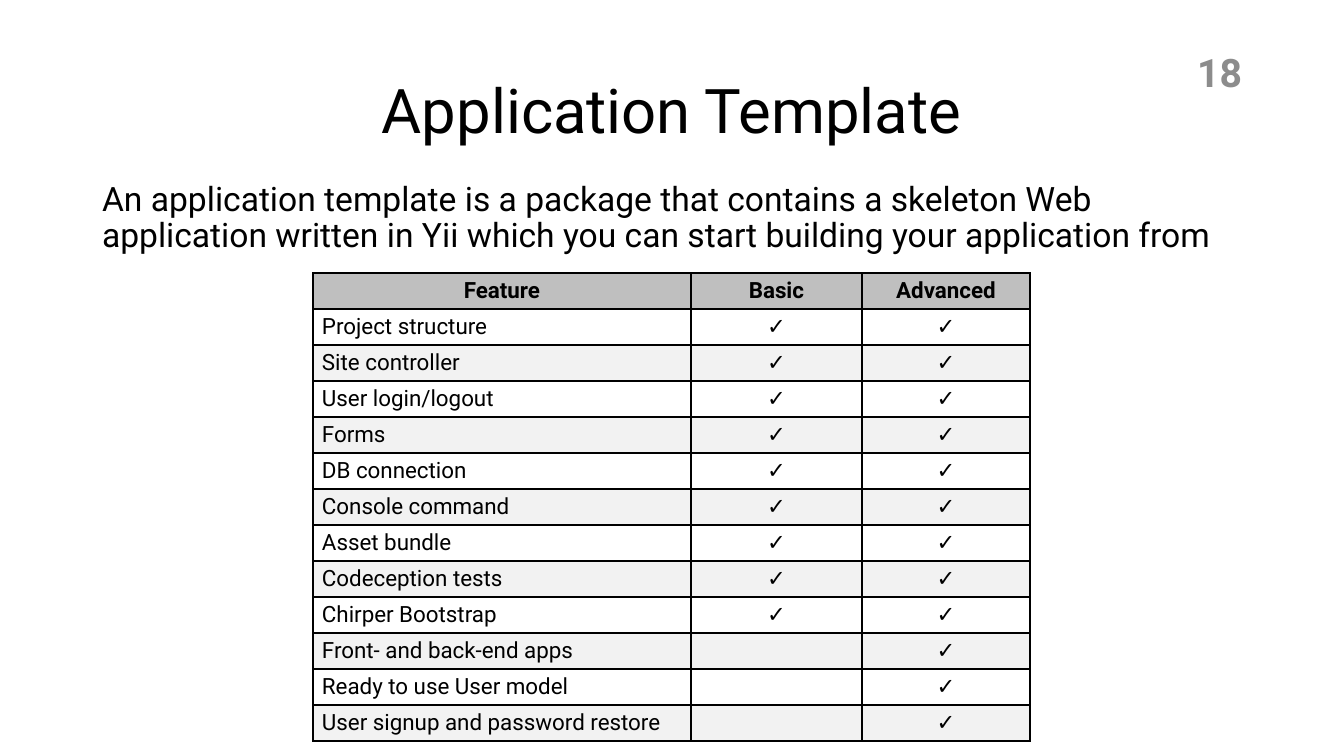
from lxml import etree
from pptx import Presentation
from pptx.dml.color import RGBColor
from pptx.enum.text import MSO_ANCHOR, MSO_AUTO_SIZE, PP_ALIGN
from pptx.oxml.ns import qn
from pptx.util import Pt

LEFT, CENTER, RIGHT = PP_ALIGN.LEFT, PP_ALIGN.CENTER, PP_ALIGN.RIGHT
TOP, MIDDLE = MSO_ANCHOR.TOP, MSO_ANCHOR.MIDDLE
NO_FIT = MSO_AUTO_SIZE.NONE

PX = 914400 / 100.8
FONT = "Roboto"
COLORS = {"text": "000000", "number": "8C8C8C", "header": "BFBFBF",
          "plain": "FFFFFF", "band": "F2F2F2", "border": "000000"}

HEADINGS = ["Feature", "Basic", "Advanced"]
SHARED_FEATURES = ["Project structure", "Site controller", "User login/logout",
                   "Forms", "DB connection", "Console command", "Asset bundle",
                   "Codeception tests", "Chirper Bootstrap"]
ADVANCED_FEATURES = ["Front- and back-end apps", "Ready to use User model",
                     "User signup and password restore"]
CHECK = "✓"
COLUMN_WIDTHS = [378, 171, 168]
ROW_HEIGHT = 36


def emu(length):
    return round(length * PX)


def apply(target, values):
    for name, value in values.items():
        setattr(target, name, value)


def place(shape, box):
    apply(shape, dict(zip(("left", "top", "width", "height"), map(emu, box))))


def write(frame, text, size, color="text", bold=False, **para_format):
    para = frame.paragraphs[0]
    apply(para, para_format)
    if not text:
        # An empty line still needs its size, or the row grows
        etree.SubElement(para._p, qn("a:endParaRPr"), sz=str(size * 100))
        return para
    span = para.add_run()
    span.text = text
    apply(span.font, {"name": FONT, "size": Pt(size), "bold": bold})
    span.font.color.rgb = RGBColor.from_string(COLORS[color])
    return para


def add_title(page, box):
    title = page.shapes.title
    place(title, box)
    apply(title.text_frame, {"vertical_anchor": MIDDLE, "auto_size": NO_FIT})
    write(title.text_frame, "Application Template", 44,
          alignment=CENTER, line_spacing=0.9)


def add_body(page, box):
    body = page.placeholders[1]
    place(body, box)
    apply(body.text_frame, {"vertical_anchor": TOP, "auto_size": NO_FIT})
    para = write(body.text_frame,
                 "An application template is a package that contains a skeleton Web "
                 "application written in Yii which you can start building your "
                 "application from", 24,
                 alignment=LEFT, line_spacing=0.9, space_before=Pt(10))
    # Plain paragraph: no bullet, no indent
    properties = para._p.get_or_add_pPr()
    properties.set("marL", "0")
    properties.set("indent", "0")
    etree.SubElement(properties, qn("a:buNone"))


def add_page_number(page, box):
    number = page.shapes.add_textbox(*map(emu, box))
    apply(number.text_frame, {"word_wrap": True, "vertical_anchor": MIDDLE})
    write(number.text_frame, "18", 28, "number", True, alignment=RIGHT)


def add_borders(cell):
    properties = cell._tc.get_or_add_tcPr()
    for position, side in enumerate(("lnL", "lnR", "lnT", "lnB")):
        line = etree.Element(qn(f"a:{side}"), w=str(Pt(1)))
        fill = etree.SubElement(line, qn("a:solidFill"))
        etree.SubElement(fill, qn("a:srgbClr"), val=COLORS["border"])
        properties.insert(position, line)


def fill_cell(cell, text, row, column):
    header = row == 0
    shade = "header" if header else "plain" if row % 2 else "band"
    cell.fill.solid()
    cell.fill.fore_color.rgb = RGBColor.from_string(COLORS[shade])
    apply(cell, {"vertical_anchor": MIDDLE,
                 "margin_left": emu(9), "margin_right": emu(9),
                 "margin_top": emu(4), "margin_bottom": emu(4)})
    write(cell.text_frame, text, 16, bold=header,
          alignment=CENTER if header or column else LEFT)
    add_borders(cell)


def add_feature_table(page, left, top):
    rows = [HEADINGS]
    rows += [[feature, CHECK, CHECK] for feature in SHARED_FEATURES]
    rows += [[feature, "", CHECK] for feature in ADVANCED_FEATURES]
    box = left, top, sum(COLUMN_WIDTHS), ROW_HEIGHT * len(rows)
    table = page.shapes.add_table(len(rows), len(HEADINGS), *map(emu, box)).table
    for column, width in zip(table.columns, COLUMN_WIDTHS):
        column.width = emu(width)
    for row, texts in enumerate(rows):
        table.rows[row].height = emu(ROW_HEIGHT)
        for column, text in enumerate(texts):
            fill_cell(table.cell(row, column), text, row, column)


def main():
    deck = Presentation()
    deck.slide_width, deck.slide_height = emu(1344), emu(756)
    page = deck.slides.add_slide(deck.slide_layouts[1])
    add_title(page, (92, 40, 1160, 147))
    add_body(page, (92, 177, 1160, 504))
    add_page_number(page, (1172, 40, 80, 64))
    add_feature_table(page, 313, 273)
    deck.save("out.pptx")


if __name__ == "__main__":
    main()
